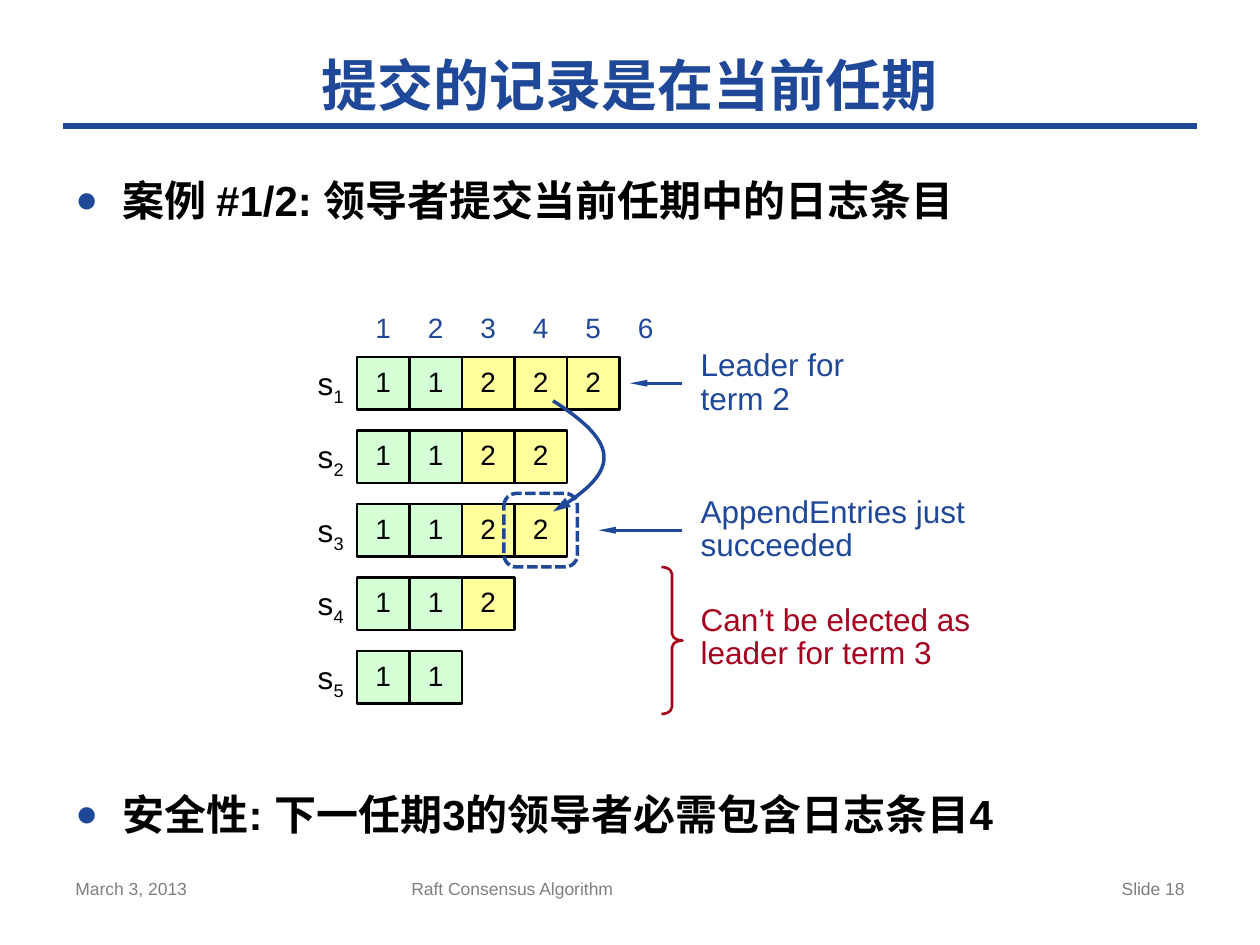
import dataclasses
import pptx
import pptx.util
import pptx.dml.color
import pptx.enum.dml
import pptx.enum.shapes
import pptx.enum.text
import pptx.oxml.ns
import lxml.etree

Pt = pptx.util.Pt
Align = pptx.enum.text.PP_ALIGN
Anchor = pptx.enum.text.MSO_ANCHOR
Preset = pptx.enum.shapes.MSO_SHAPE


@dataclasses.dataclass(frozen=True)
class Theme:
    blue: str = "1F4899"
    red: str = "A5001E"
    black: str = "000000"
    gray: str = "7F7F7F"
    term_fills: tuple = ("D5FFD5", "FFFF9B")
    font: str = "Arial"
    title_font: str = "Open Sans"
    title_size: int = 32
    body_size: int = 24
    note_size: int = 18
    cell_size: int = 16
    footer_size: int = 10


THEME = Theme()


def color(value):
    return pptx.dml.color.RGBColor.from_string(value)


def add_xml(parent, tag, **attributes):
    return lxml.etree.SubElement(parent, pptx.oxml.ns.qn(tag), attributes)


def add_run(paragraph, text, size, ink, font=THEME.font, bold=False):
    run = paragraph.add_run()
    run.text = text
    run.font.size = Pt(size)
    run.font.name = font
    run.font.bold = bold
    run.font.color.rgb = color(ink)
    return run


def set_insets(frame, horizontal, vertical):
    frame.margin_left = frame.margin_right = Pt(horizontal)
    frame.margin_top = frame.margin_bottom = Pt(vertical)


def add_text_box(slide, box, align=Align.LEFT, insets=(7.2, 3.6)):
    shape = slide.shapes.add_textbox(*map(Pt, box))
    frame = shape.text_frame
    frame.word_wrap = True
    set_insets(frame, *insets)
    paragraph = frame.paragraphs[0]
    paragraph.alignment = align
    return frame, paragraph


def add_preset(slide, preset, box, ink, width, fill=None):
    shape = slide.shapes.add_shape(preset, *map(Pt, box))
    style_outline(shape, ink, width)
    if fill:
        shape.fill.solid()
        shape.fill.fore_color.rgb = color(fill)
    else:
        shape.fill.background()
    return shape


def style_outline(shape, ink, width):
    shape.shadow.inherit = False
    shape.line.color.rgb = color(ink)
    shape.line.width = Pt(width)


def add_arrowhead(shape, width):
    outline = shape._element.spPr.get_or_add_ln()
    add_xml(outline, "a:tailEnd", type="triangle", w=width, len="lg")


def add_line(slide, start, end, width, arrow=False):
    connector = slide.shapes.add_connector(
        pptx.enum.shapes.MSO_CONNECTOR.STRAIGHT, *map(Pt, start + end))
    connector.line.color.rgb = color(THEME.blue)
    connector.line.width = Pt(width)
    if arrow:
        add_arrowhead(connector, "sm")
    add_xml(connector._element.spPr, "a:effectLst")


def add_title(slide, box, text):
    left, top, width, height = box
    frame, paragraph = add_text_box(slide, box, Align.CENTER)
    frame.vertical_anchor = Anchor.MIDDLE
    add_run(paragraph, text, THEME.title_size, THEME.blue, THEME.title_font, True)
    bottom = top + height
    add_line(slide, (left + 18, bottom), (left + width - 18, bottom), 4)


def add_bullet(slide, box, text):
    paragraph = add_text_box(slide, box)[1]
    properties = paragraph._p.get_or_add_pPr()
    properties.set("marL", str(int(Pt(27))))
    properties.set("indent", str(-int(Pt(27))))
    add_xml(add_xml(properties, "a:buClr"), "a:srgbClr", val=THEME.blue)
    add_xml(properties, "a:buSzPct", val="90000")
    add_xml(properties, "a:buFont", typeface=THEME.font)
    add_xml(properties, "a:buChar", char="●")
    add_run(paragraph, text, THEME.body_size, THEME.black, bold=True)


def add_footer(slide, box):
    left, top, width, height = box
    parts = (("March 3, 2013", 0, 168, Align.LEFT),
             ("Raft Consensus Algorithm", 192, 270, Align.LEFT),
             ("Slide 18", width - 168, 168, Align.RIGHT))
    for text, offset, part_width, align in parts:
        paragraph = add_text_box(
            slide, (left + offset, top, part_width, height), align)[1]
        add_run(paragraph, text, THEME.footer_size, THEME.gray)


def add_logs(slide, box, logs, cell=30, pitch=42):
    left, top, width, height = box
    for index in range(6):
        paragraph = add_text_box(
            slide, (left + cell * (index + 1), top, cell, 26.6), Align.CENTER)[1]
        add_run(paragraph, str(index + 1), THEME.cell_size, THEME.blue)
    for row, terms in enumerate(logs):
        row_top = top + cell + row * pitch
        paragraph = add_text_box(
            slide, (left, row_top + 4, cell, 21.6), Align.CENTER, (0, 0))[1]
        add_run(paragraph, "s", THEME.note_size, THEME.black)
        subscript = add_run(paragraph, str(row + 1), THEME.note_size, THEME.black)
        subscript._r.get_or_add_rPr().set("baseline", "-25000")
        for column, term in enumerate(terms, 1):
            entry = add_preset(
                slide, Preset.RECTANGLE, (left + column * cell, row_top, cell, cell),
                THEME.black, 1.5, THEME.term_fills[term - 1])
            frame = entry.text_frame
            frame.vertical_anchor = Anchor.MIDDLE
            set_insets(frame, 0, 0)
            paragraph = frame.paragraphs[0]
            paragraph.alignment = Align.CENTER
            paragraph.line_spacing = Pt(17)
            add_run(paragraph, str(term), THEME.cell_size, THEME.black)


def add_note(slide, box, lines, ink):
    paragraph = add_text_box(slide, box, insets=(0, 0))[1]
    paragraph.line_spacing = Pt(19)
    for index, line in enumerate(lines):
        if index:
            paragraph.add_line_break()
        add_run(paragraph, line, THEME.note_size, ink)


def add_replication_curve(slide, box):
    left, top, width, height = box
    builder = slide.shapes.build_freeform(Pt(left), Pt(top))
    builder.add_line_segments(
        [(Pt(left + width), Pt(top + height / 2)), (Pt(left), Pt(top + height))],
        close=False)
    curve = builder.convert_to_shape()
    style_outline(curve, THEME.blue, 2)
    curve.fill.background()
    outline = curve._element.xpath(".//a:path")[0]
    for segment in outline.xpath("./a:lnTo"):
        outline.remove(segment)
    bezier = add_xml(outline, "a:cubicBezTo")
    for x, y in ((1.26, 0.36), (1.41, 0.64), (0, 1)):
        add_xml(bezier, "a:pt", x=str(int(Pt(width * x))), y=str(int(Pt(height * y))))
    add_arrowhead(curve, "med")


def add_annotations(slide, box):
    left, top, width, height = box
    highlight = add_preset(
        slide, Preset.ROUNDED_RECTANGLE, (left + 114, top + 108, 42, 42), THEME.blue, 2)
    highlight.line.dash_style = pptx.enum.dml.MSO_LINE.SQUARE_DOT
    add_replication_curve(slide, (left + 142, top + 55, 28.2, 63.3))
    brace = add_preset(
        slide, Preset.RIGHT_BRACE, (left + 204, top + 150, 12, 84), THEME.red, 1.5)
    brace.adjustments[0] = 0.34
    for offset, note_width, lines, ink in (
            (26, 102, ("Leader for", "term 2"), THEME.blue),
            (109.6, 199.4, ("AppendEntries just", "succeeded"), THEME.blue),
            (171.4, 199.4, ("Can’t be elected as", "leader for term 3"), THEME.red)):
        add_note(slide, (left + 226.4, top + offset, note_width, 38), lines, ink)
    for tip, offset in ((186, 45), (168, 129)):
        add_line(slide, (left + 216, top + offset), (left + tip, top + offset), 1.5, True)


def build():
    presentation = pptx.Presentation()
    presentation.slide_width = Pt(720)
    presentation.slide_height = Pt(540)
    slide = presentation.slides.add_slide(presentation.slide_layouts[6])
    add_title(slide, (18, 24, 684, 48), "提交的记录是在当前任期")
    add_bullet(slide, (36, 96, 648, 42), "案例 #1/2: 领导者提交当前任期中的日志条目")
    add_bullet(slide, (36, 447, 648, 42), "安全性: 下一任期3的领导者必需包含日志条目4")
    diagram = (174, 174, 426, 234)
    add_logs(slide, diagram, (
        (1, 1, 2, 2, 2), (1, 1, 2, 2), (1, 1, 2, 2), (1, 1, 2), (1, 1)))
    add_annotations(slide, diagram)
    add_footer(slide, (36, 498, 648, 31))
    presentation.save("out.pptx")


build()
